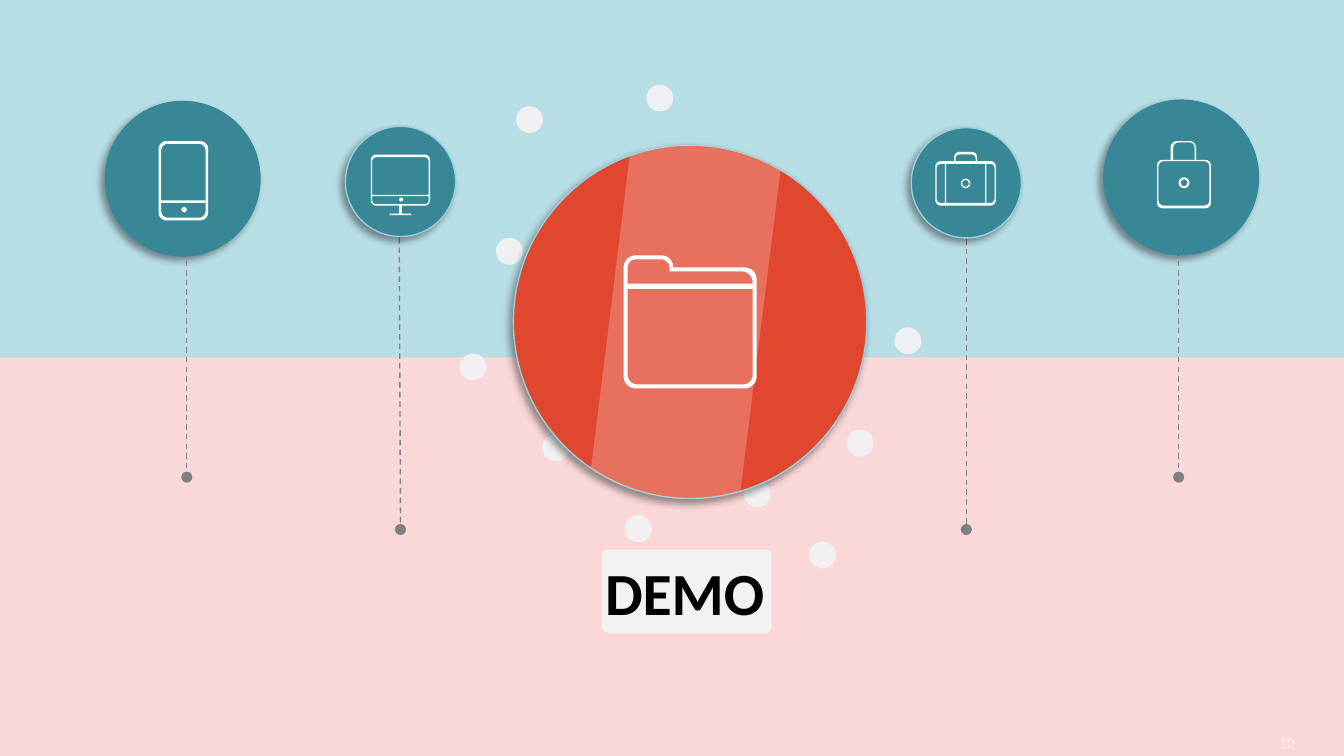
import math

import pptx
import pptx.dml.color
import pptx.enum.dml
import pptx.enum.shapes
import pptx.enum.text
import pptx.oxml
import pptx.oxml.ns
import pptx.util

RGBColor = pptx.dml.color.RGBColor
SHAPE = pptx.enum.shapes.MSO_SHAPE
PINK = RGBColor(0xFB, 0xD8, 0xD8)
SKY = RGBColor(0xB7, 0xDD, 0xE5)
TEAL = RGBColor(0x37, 0x87, 0x97)
RIM = RGBColor(0x99, 0xCF, 0xDA)
RED = RGBColor(0xE0, 0x47, 0x2E)
STRIPE = RGBColor(0xF9, 0xDA, 0xD5)
PALE = RGBColor(0xF2, 0xF2, 0xF2)
GRAY = RGBColor(0x80, 0x80, 0x80)
WHITE = RGBColor(0xFF, 0xFF, 0xFF)
BLACK = RGBColor(0, 0, 0)
FONT = "Calibri"


def size(inches):
    return pptx.util.Cm(inches * 2.54)


def box(left, top, right, bottom, top_radius=0, bottom_radius=None):
    """Corners (x, y, radius) of a rectangle, clockwise."""
    if bottom_radius is None:
        bottom_radius = top_radius
    return [(left, top, top_radius), (right, top, top_radius),
            (right, bottom, bottom_radius), (left, bottom, bottom_radius)]


def ring(x, y, outer, inner):
    return [box(x - r, y - r, x + r, y + r, r) for r in (outer, inner)]


# Positions are in inches.
DOT_SIZE, DOT_STEP = 0.2, (0.615, 0.602)
DOT_DIAGONALS = [(3.84, 0.79, 5), (3.69, 1.77, 4), (6.02, 4.03, 1),
                 (3.42, 2.63, 3), (4.81, 0.63, 4)]
STEMS = [(1.39, 1.76, 1.39, 3.55), (2.97, 1.59, 2.98, 3.94),
         (7.19, 1.6, 7.19, 3.94), (8.77, 1.76, 8.77, 3.55)]
# left, top, diameter, rim
BADGES = [(6.78, 0.95, 0.82, RIM), (8.21, 0.74, 1.16, None),
          (2.57, 0.94, 0.82, RIM), (0.78, 0.75, 1.16, None)]
HUB = (3.82, 1.08, 2.63)
STRIPE_CORNERS = [(4.69, 1.17), (5.81, 1.26), (5.51, 3.66), (4.4, 3.48)]

# Each icon outline is a list of contours; inner contours are holes.
BRIEFCASE = [
    [(6.96, 1.2, 0.04), (7.1, 1.2, 0), (7.1, 1.13, 0.04), (7.27, 1.13, 0.04),
     (7.27, 1.2, 0), (7.41, 1.2, 0.04), (7.41, 1.53, 0.04), (6.96, 1.53, 0.04)],
    box(7.11, 1.15, 7.26, 1.2, 0.03, 0),
    box(7.04, 1.22, 7.33, 1.51),
    [(6.97, 1.22, 0.03), (7.03, 1.22, 0), (7.03, 1.51, 0), (6.97, 1.51, 0.03)],
    [(7.34, 1.22, 0), (7.4, 1.22, 0.03), (7.4, 1.51, 0.03), (7.34, 1.51, 0)],
]
MONITOR = [
    box(2.76, 1.15, 3.2, 1.53, 0.04),
    box(2.77, 1.17, 3.19, 1.45, 0.03, 0),
    box(2.77, 1.46, 3.19, 1.52, 0, 0.03),
    box(2.97, 1.53, 2.99, 1.59),
    box(2.9, 1.59, 3.06, 1.6),
]
PHONE = [box(1.18, 1.05, 1.55, 1.64, 0.06), box(1.2, 1.07, 1.53, 1.62, 0.05)]
PADLOCK = [
    [(8.61, 1.19, 0.04), (8.71, 1.19, 0), (8.71, 1.05, 0.05), (8.9, 1.05, 0.05),
     (8.9, 1.19, 0), (9.01, 1.19, 0.04), (9.01, 1.55, 0.04), (8.61, 1.55, 0.04)],
    box(8.73, 1.06, 8.89, 1.19, 0.04, 0),
    box(8.62, 1.2, 9, 1.53, 0.04),
]
FOLDER = [
    [(4.64, 1.9, 0.09), (5.01, 1.9, 0.09), (5.01, 1.99, 0), (5.63, 1.99, 0.09),
     (5.63, 2.89, 0.09), (4.64, 2.89, 0.09)],
    [(4.67, 1.93, 0.06), (4.98, 1.93, 0.06), (4.98, 2.02, 0), (5.6, 2.02, 0.08),
     (5.6, 2.11, 0), (4.67, 2.11, 0)],
    box(4.67, 2.15, 5.6, 2.86, 0, 0.07),
]
OUTLINES = [BRIEFCASE, ring(7.185, 1.365, 0.035, 0.025), MONITOR, PHONE,
            ring(8.81, 1.36, 0.04, 0.025), PADLOCK]
SOLIDS = [(SHAPE.OVAL, 2.97, 1.47, 0.03, 0.03),
          (SHAPE.RECTANGLE, 1.2, 1.49, 0.33, 0.02),
          (SHAPE.OVAL, 1.35, 1.54, 0.04, 0.04)]


def append_xml(parent, xml):
    namespace = pptx.oxml.ns.nsdecls("a")
    parent.append(pptx.oxml.parse_xml(xml.replace("/>", f" {namespace}/>", 1)
                  if xml.count("<") == 1 else xml.replace(">", f" {namespace}>", 1)))


def paint(shape, color, rim=None, opacity=None):
    shape.shadow.inherit = False
    shape.fill.solid()
    shape.fill.fore_color.rgb = color
    if opacity:
        append_xml(shape.fill._xPr.find(".//" + pptx.oxml.ns.qn("a:srgbClr")),
                   f'<a:alpha val="{opacity * 1000}"/>')
    if rim is None:
        shape.line.fill.background()
    else:
        shape.line.color.rgb = rim
        shape.line.width = pptx.util.Pt(0.75)
    return shape


def add_solid(shapes, kind, left, top, width, height, color, **style):
    shape = shapes.add_shape(kind, *map(size, (left, top, width, height)))
    return paint(shape, color, **style)


def add_badge(shapes, left, top, diameter, color, rim):
    """Circle with a soft shadow to the lower left."""
    badge = add_solid(shapes, SHAPE.OVAL, left, top, diameter, diameter, color, rim=rim)
    effects = badge._element.spPr.find(pptx.oxml.ns.qn("a:effectLst"))
    append_xml(effects, '<a:outerShdw blurRad="50800" dist="38100" dir="8100000">'
               '<a:srgbClr val="000000"><a:alpha val="40000"/></a:srgbClr></a:outerShdw>')


def round_corners(corners, steps=8):
    """Points of a right-angled contour with quarter-circle corners."""
    points = []
    for i, (x, y, radius) in enumerate(corners):
        if not radius:
            points.append((x, y))
            continue
        (ux, uy), (vx, vy) = [
            ((px - x) / math.dist((px, py), (x, y)), (py - y) / math.dist((px, py), (x, y)))
            for px, py, _ in (corners[i - 1], corners[(i + 1) % len(corners)])]
        for step in range(steps + 1):
            angle = math.pi / 2 * step / steps
            a, b = 1 - math.sin(angle), 1 - math.cos(angle)
            points.append((x + radius * (ux * a + vx * b), y + radius * (uy * a + vy * b)))
    return points


def add_outline(shapes, contours, color, **style):
    contours = [[(size(x), size(y)) for x, y in points] for points in contours]
    builder = shapes.build_freeform(*contours[0][0])
    for i, points in enumerate(contours):
        if i:
            builder.move_to(*points[0])
        builder.add_line_segments(points[1:], close=True)
    return paint(builder.convert_to_shape(), color, **style)


def add_icon(shapes, contours):
    add_outline(shapes, [round_corners(corners) for corners in contours], WHITE)


def add_stem(shapes, *ends):
    stem = shapes.add_connector(pptx.enum.shapes.MSO_CONNECTOR.STRAIGHT, *map(size, ends))
    stem.line.color.rgb = GRAY
    stem.line.width = pptx.util.Pt(0.75)
    stem.line.dash_style = pptx.enum.dml.MSO_LINE.DASH
    for end in ("head", "tail"):
        append_xml(stem.line._get_or_add_ln(), f'<a:{end}End type="oval"/>')
    append_xml(stem._element.spPr, "<a:effectLst/>")


def add_stripe(shapes):
    """Slanted band whose top and bottom follow the hub circle."""
    left, top, diameter = HUB
    radius = diameter / 2
    x, y = left + radius, top + radius
    angles = [math.atan2(py - y, px - x) for px, py in STRIPE_CORNERS]
    points = []
    for start, end in (angles[:2], angles[2:]):
        for step in range(25):
            angle = start + (end - start) * step / 24
            points.append((x + radius * math.cos(angle), y + radius * math.sin(angle)))
    add_outline(shapes, [points], STRIPE, opacity=29)


def add_label(shapes, left, top, width, height, text, points, color, bold=False):
    frame = shapes.add_textbox(*map(size, (left, top, width, height))).text_frame
    frame.word_wrap = True
    frame.vertical_anchor = pptx.enum.text.MSO_ANCHOR.MIDDLE
    paragraph = frame.paragraphs[0]
    paragraph.text = text
    paragraph.alignment = pptx.enum.text.PP_ALIGN.CENTER
    font = paragraph.font
    font.name, font.size, font.bold = FONT, pptx.util.Pt(points), bold
    font.color.rgb = color


presentation = pptx.Presentation()
presentation.slide_width, presentation.slide_height = size(10), size(5.625)
slide = presentation.slides.add_slide(presentation.slide_layouts[6])
slide.background.fill.solid()
slide.background.fill.fore_color.rgb = PINK
shapes = slide.shapes

add_solid(shapes, SHAPE.RECTANGLE, 0, 0, 10, 2.66, SKY)
for left, top, count in DOT_DIAGONALS:
    for i in range(count):
        add_solid(shapes, SHAPE.OVAL, left + i * DOT_STEP[0], top + i * DOT_STEP[1],
                  DOT_SIZE, DOT_SIZE, PALE, opacity=95)
for stem in STEMS:
    add_stem(shapes, *stem)
for left, top, diameter, rim in BADGES:
    add_badge(shapes, left, top, diameter, TEAL, rim)
for outline in OUTLINES:
    add_icon(shapes, outline)
for solid in SOLIDS:
    add_solid(shapes, *solid, WHITE)
plate = add_solid(shapes, SHAPE.ROUNDED_RECTANGLE, 4.48, 4.09, 1.26, 0.62, PALE)
plate.adjustments[0] = 0.06
add_label(shapes, 3.79, 4.05, 2.61, 0.7, "DEMO", 32, BLACK, bold=True)
add_badge(shapes, *HUB, RED, RIM)
add_stripe(shapes)
add_icon(shapes, FOLDER)
add_label(shapes, 9.18, 5.33, 0.79, 0.39, "10", 8, PALE)
presentation.save("out.pptx")
